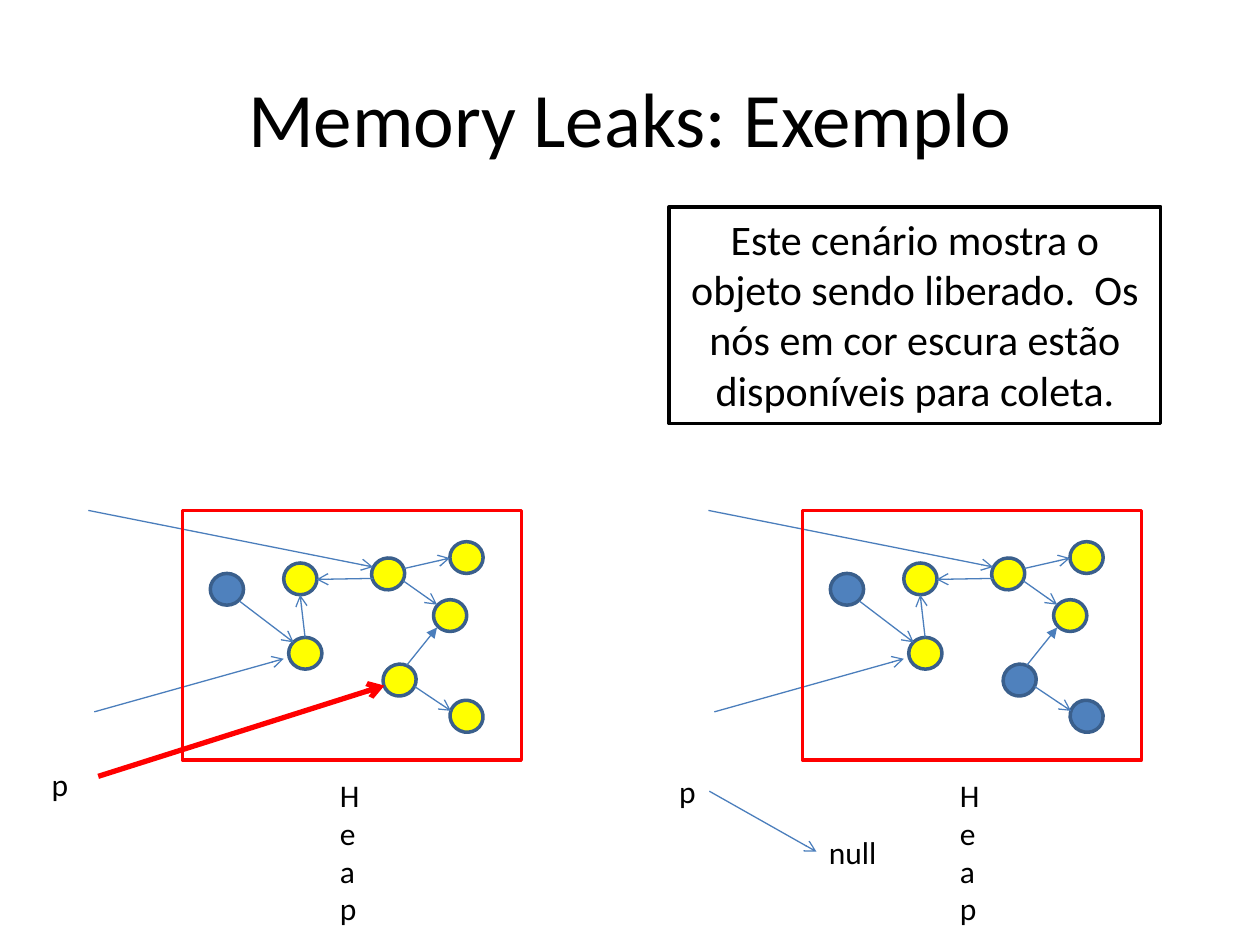
"""Build the slide on memory leaks: two heaps, before and after p becomes null."""
from lxml import etree
from pptx import Presentation
from pptx import util as u
from pptx.dml.color import RGBColor
from pptx.enum import shapes, text
from pptx.oxml.ns import qn

hue = RGBColor.from_string
BLUE, EDGE, ARROW = "4F81BD", "3A5F8C", "4B7EBC"
YELLOW, RED, BLACK, WHITE = "FFFF00", "FF0000", "000000", "FFFFFF"


def write(box, words, size, align=text.PP_ALIGN.LEFT, wrap=True, anchor=text.MSO_ANCHOR.TOP):
    """Fill a box with one styled run."""
    frame = box.text_frame
    frame.word_wrap = wrap
    frame.vertical_anchor = anchor
    para = frame.paragraphs[0]
    para.alignment = align
    span = para.add_run()
    span.text = words
    span.font.name = "Calibri"
    span.font.size = u.Pt(size)
    span.font.color.rgb = hue(BLACK)


def point(parent, ends, color=ARROW, width=0.75, tip="arrow"):
    """Draw an arrow between two places given in centimetres."""
    line = parent.add_connector(shapes.MSO_CONNECTOR.STRAIGHT, *[u.Cm(end) for end in ends])
    line.line.color.rgb = hue(color)
    line.line.width = u.Pt(width)
    etree.SubElement(line.line._get_or_add_ln(), qn("a:tailEnd"), type=tip)
    etree.SubElement(line._element.spPr, qn("a:effectLst"))


deck = Presentation()
deck.slide_width, deck.slide_height = u.Cm(25.4), u.Cm(19.05)
page = deck.slides.add_slide(deck.slide_layouts[6])

title = page.shapes.add_textbox(u.Cm(1.27), u.Cm(0.76), u.Cm(22.86), u.Cm(3.18))
write(title, "Memory Leaks: Exemplo", 44, text.PP_ALIGN.CENTER, anchor=text.MSO_ANCHOR.MIDDLE)

nodes = [
    (4.24, 11.56, 0), (5.72, 11.35, 0), (5.82, 12.85, 0), (9.07, 10.92, 0),
    (8.74, 12.09, 0), (9.07, 14.12, 25), (7.72, 13.39, 342), (7.49, 11.25, 341.9),
]
links = [
    (4.83, 12.12, 5.92, 12.95, "arrow"),
    (6.15, 12.85, 6.05, 11.99, "arrow"),
    (7.52, 11.66, 6.38, 11.68, "arrow"),
    (8.15, 11.46, 9.07, 11.25, "arrow"),
    (8.13, 11.71, 8.81, 12.19, "arrow"),
    (8.2, 13.41, 8.81, 12.65, "triangle"),
    (8.36, 13.84, 9.09, 14.33, "arrow"),
    (1.9, 14.35, 5.72, 13.28, "arrow"),
    (1.78, 10.29, 7.52, 11.43, "arrow"),
]

for shift, collectable in [(0, {0}), (12.5, {0, 5, 6})]:
    heap = page.shapes.add_group_shape().shapes
    for index, (left, top, angle) in enumerate(nodes):
        node = heap.add_shape(shapes.MSO_SHAPE.OVAL, u.Cm(left + shift), u.Cm(top),
                              u.Cm(0.67), u.Cm(0.64))
        node.rotation = angle
        node.shadow.inherit = False
        node.fill.solid()
        node.fill.fore_color.rgb = hue(BLUE if index in collectable else YELLOW)
        node.line.color.rgb = hue(EDGE)
        node.line.width = u.Pt(2)
    for x1, y1, x2, y2, tip in links:
        point(heap, (x1 + shift, y1, x2 + shift, y2), tip=tip)
    border = heap.add_shape(shapes.MSO_SHAPE.RECTANGLE, u.Cm(3.68 + shift), u.Cm(10.29),
                            u.Cm(6.83), u.Cm(5.03))
    border.shadow.inherit = False
    border.fill.background()
    border.line.color.rgb = hue(RED)
    border.line.width = u.Pt(2)
    caption = heap.add_textbox(u.Cm(6.6 + shift), u.Cm(15.52), u.Cm(1.07), u.Cm(0.56))
    write(caption, "Heap", 18)

point(page.shapes, (1.98, 15.65, 7.75, 13.82), RED, 3)
point(page.shapes, (14.3, 15.95, 16.46, 17.17))
for words, left, top, width in [("p", 0.79, 15.29, 0.86), ("p", 13.44, 15.44, 0.86),
                                ("null", 16.46, 16.66, 1.47)]:
    label = page.shapes.add_textbox(u.Cm(left), u.Cm(top), u.Cm(width), u.Cm(1.02))
    write(label, words, 18, wrap=False)

remark = page.shapes.add_shape(shapes.MSO_SHAPE.RECTANGLE, u.Cm(13.49), u.Cm(4.17),
                               u.Cm(9.91), u.Cm(4.37))
remark.shadow.inherit = False
remark.fill.solid()
remark.fill.fore_color.rgb = hue(WHITE)
remark.line.color.rgb = hue(BLACK)
remark.line.width = u.Pt(2)
write(remark, "Este cenário mostra o objeto sendo liberado.  Os nós em cor escura estão "
      "disponíveis para coleta.", 24, text.PP_ALIGN.CENTER)

deck.save("out.pptx")
